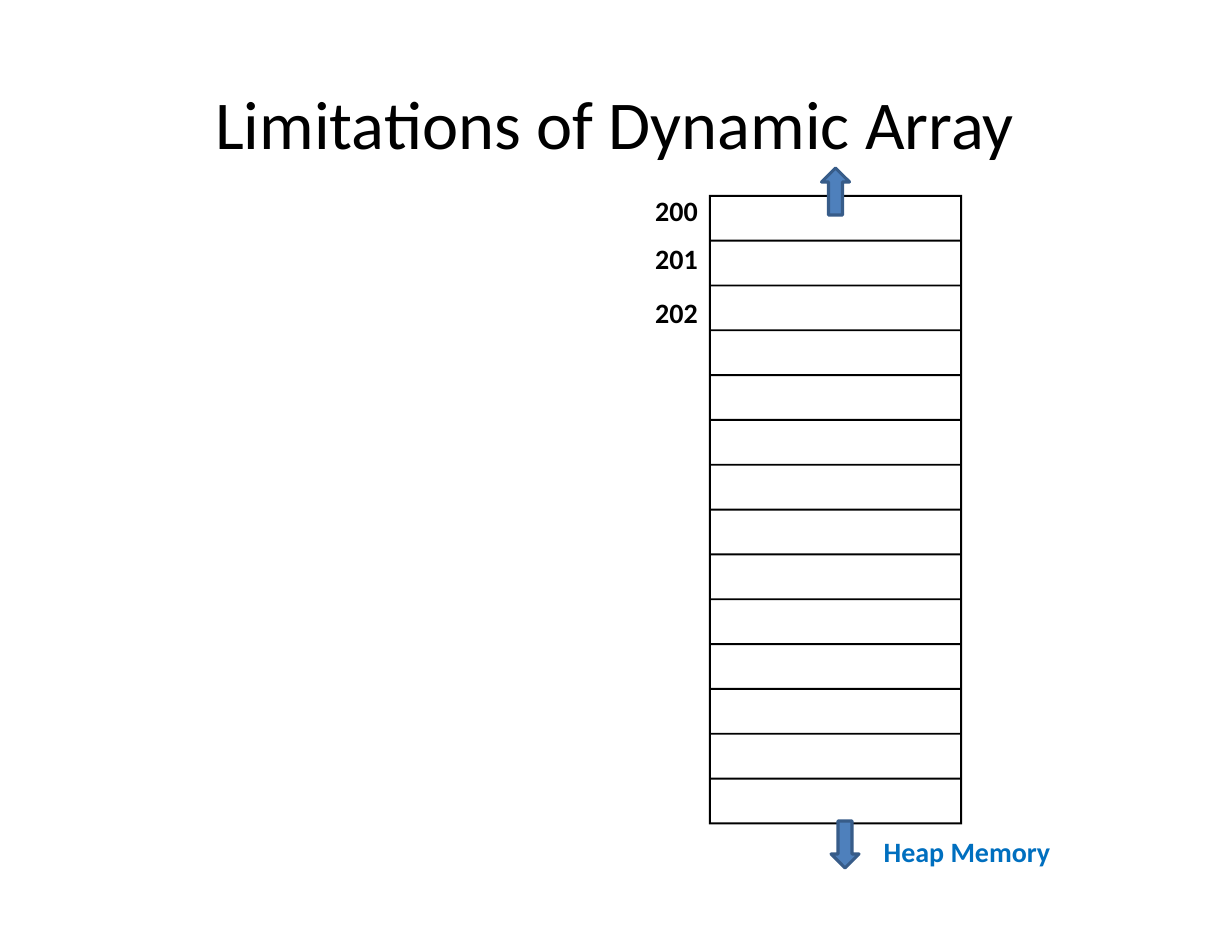
from pptx import Presentation, util as u
from pptx.dml.color import RGBColor
from pptx.enum import shapes, text

COLS, ROWS = 110, 85
WIDE, HIGH = u.Inches(11), u.Inches(8.5)
FONT = "Calibri"
CELLS = 14
RULE = 0.17


def grid(x, y, w, h):
    """Turn columns and rows of the slide grid into lengths."""
    col, row = WIDE / COLS, HIGH / ROWS
    return [round(n) for n in (x * col, y * row, w * col, h * row)]


def paint(form, tone):
    """Give a fill or font colour format a hex colour."""
    form.rgb = RGBColor.from_string(tone)


def flat(shape, tone):
    """Give a shape a solid fill and no shadow."""
    shape.shadow.inherit = False
    shape.fill.solid()
    paint(shape.fill.fore_color, tone)


def write(shape, lines, size, tone, bold=False, top=0.01, gaps=(0,)):
    """Set left-aligned lines of text in a shape, from its top."""
    frame = shape.text_frame
    frame.word_wrap = True
    frame.auto_size = text.MSO_AUTO_SIZE.NONE
    frame.vertical_anchor = text.MSO_ANCHOR.TOP
    frame.margin_left = frame.margin_right = frame.margin_bottom = 0
    frame.margin_top = u.Inches(top)
    frame.text = "\n".join(lines)
    for para, gap in zip(frame.paragraphs, gaps):
        para.alignment = text.PP_ALIGN.LEFT
        para.space_before = u.Pt(gap)
        para.font.name, para.font.size = FONT, u.Pt(size)
        para.font.bold = bold
        paint(para.font.color, tone)


def head(slide, box, words):
    """Place the slide title."""
    title = slide.shapes.title
    title.left, title.top, title.width, title.height = grid(*box)
    write(title, [words], 44, "000000")


def label(slide, box, lines, tone, **style):
    """Place a bold label."""
    write(slide.shapes.add_textbox(*grid(*box)), lines, 18, tone, True, **style)


def arrow(slide, kind, box):
    """Place a block arrow."""
    shape = slide.shapes.add_shape(kind, *grid(*box))
    flat(shape, "4E80BC")
    paint(shape.line.color, "375C89")
    shape.line.width = u.Pt(2)


def edge(box):
    """List the corners of a box in order."""
    x, y, w, h = grid(*box)
    return [(x, y), (x + w, y), (x + w, y + h), (x, y + h)]


def stack(slide, box):
    """Draw a ruled frame with equal open memory cells."""
    x, y, w, h = box
    step = (h - RULE) / CELLS
    cells = [(x + RULE, y + RULE + i * step, w - 2 * RULE, step - RULE)
             for i in range(CELLS)]
    first, *rest = edge(box)
    pen = slide.shapes.build_freeform(*first)
    pen.add_line_segments(rest)
    for cell in cells:
        first, *rest = edge(cell)
        pen.move_to(*first)
        pen.add_line_segments(rest)
    shape = pen.convert_to_shape()
    flat(shape, "000000")
    shape.line.fill.background()


def heap(slide, box):
    """Place the memory stack with its arrows, addresses and name."""
    x, y, w, h = box
    stack(slide, box)
    for kind, left, top in (
        (shapes.MSO_SHAPE.DOWN_ARROW, x + 10.9, y + h - 0.3),
        (shapes.MSO_SHAPE.UP_ARROW, x + 10.05, y - 2.4),
    ):
        arrow(slide, kind, (left, top, 2.5, 4.2))
    label(slide, (x - 4.8, y - 1.5, 4.5, 13.7), ["200", "201", "202"],
          "000000", top=0.14, gaps=(10.3, 9.3, 13.2))
    label(slide, (x + 15.6, y + h + 0.8, 15.4, 3.3), ["Heap Memory"], "006FBF")


def main():
    """Build and save the slide."""
    deck = Presentation()
    deck.slide_width, deck.slide_height = WIDE, HIGH
    slide = deck.slides.add_slide(deck.slide_layouts[5])
    head(slide, (19.2, 7.1, 72.5, 7.6), "Limitations of Dynamic Array")
    heap(slide, (63.3, 17.4, 22.6, 56.2))
    deck.save("out.pptx")


if __name__ == "__main__":
    main()
